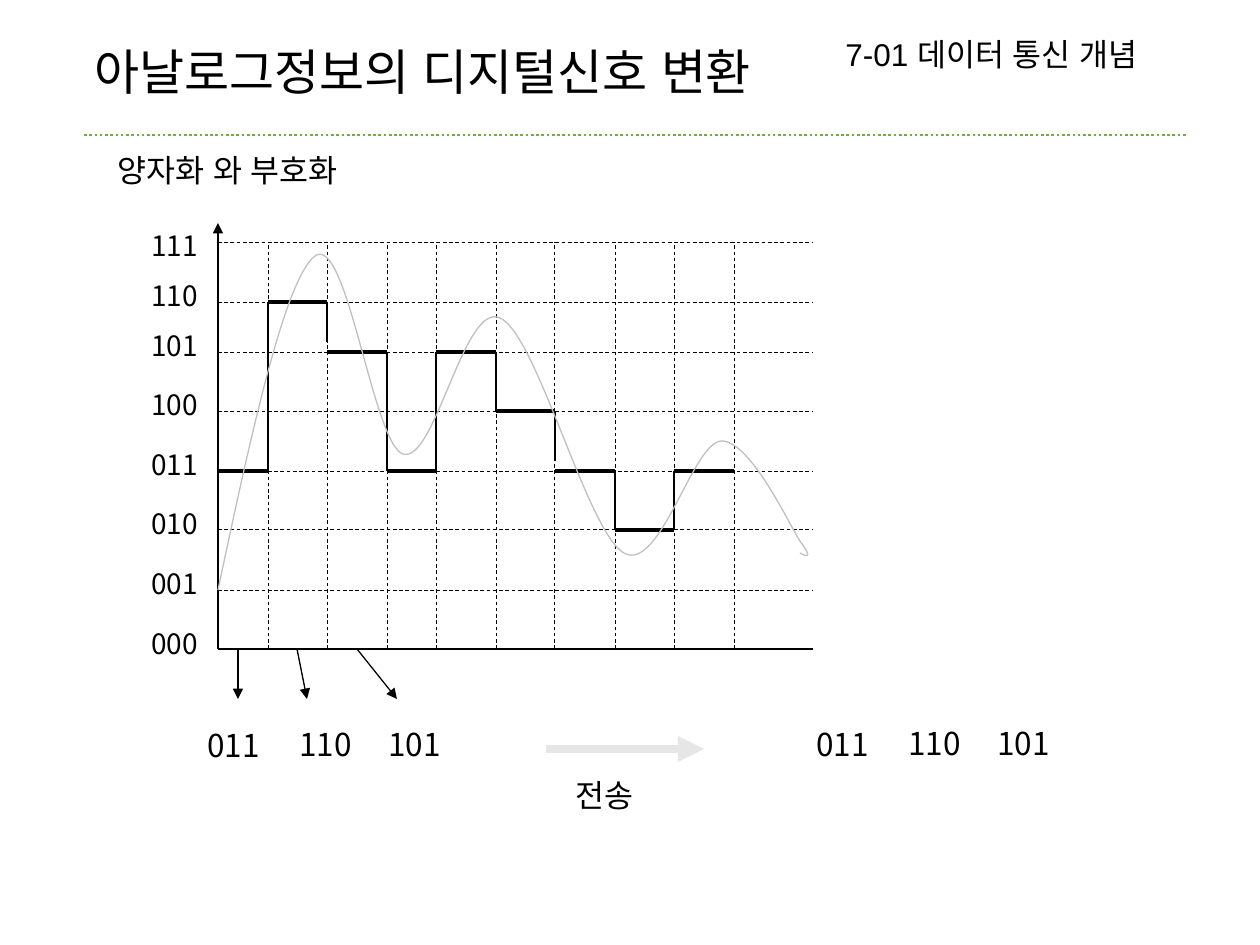
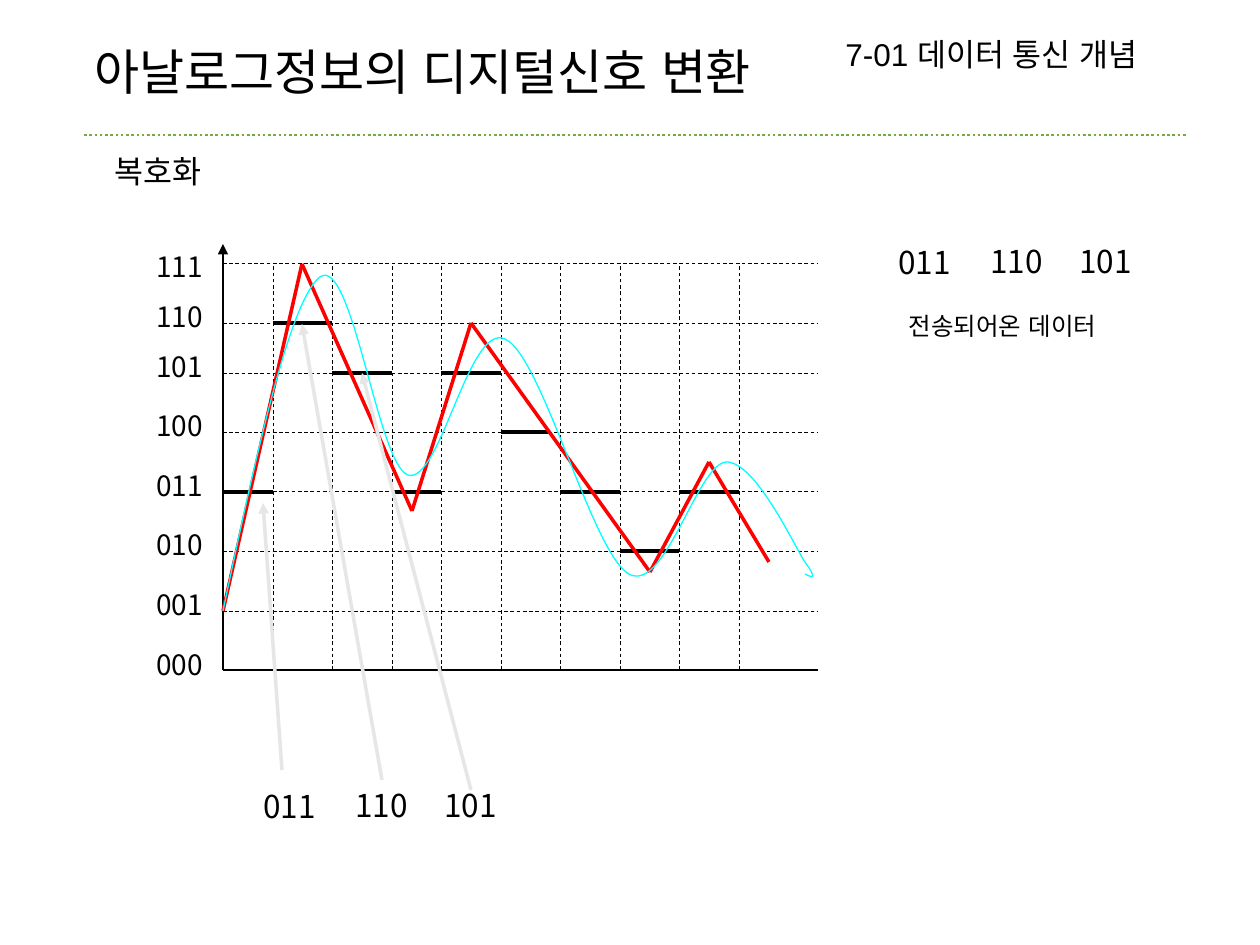
"""Build two slides on turning analog information into a digital signal."""
from itertools import chain, pairwise
from lxml.etree import SubElement
from pptx import Presentation
from pptx.dml.color import RGBColor
from pptx.enum.dml import MSO_LINE_DASH_STYLE as Dash
from pptx.enum.shapes import MSO_CONNECTOR as Connector
from pptx.enum.text import MSO_ANCHOR as Anchor, MSO_AUTO_SIZE as AutoSize, PP_ALIGN as Align
from pptx.oxml.ns import qn
from pptx.util import Emu, Pt

PX = 914400 // 126
COLORS = {
    "ink": "000000", "rule": "70AD47", "pale": "E7E6E6",
    "silver": "C0C0C0", "cyan": "00FFFF", "red": "FF0000",
}
CODE_FONT = "Noto Sans CJK KR"

COLUMNS = [0, 50, 109, 169, 218, 278, 337, 397, 456, 516]
ROWS = [0, 59, 119, 178, 238, 297, 347, 407]
LABEL_LIFTS = [29, 30, 30, 30, 30, 30, 30, 20]
SAMPLES = [3, 6, 5, 3, 5, 4, 3, 2, 3]
PLOT_WIDTH, AXIS_HEIGHT = 595, 426
WAVE_START = (0, 59)
WAVE = [
    ((33, 215), (67, 370), (97, 393)),
    ((129, 416), (155, 205), (185, 195)),
    ((217, 185), (246, 348), (282, 331)),
    ((319, 315), (369, 117), (406, 96)),
    ((442, 76), (474, 205), (503, 208)),
    ((532, 209), (570, 127), (582, 108)),
    ((596, 89), (588, 93), (582, 96)),
]
DECODED = [(0, 59), (79, 406), (189, 159), (248, 347), (427, 98), (486, 208), (546, 108)]
CODES = [("011", 0, 0), ("110", 92, -1), ("101", 181, -1)]

SLIDES = [
    {
        "origin": (218, 649), "wave": "silver", "risers": True, "decoded": [],
        "step_cuts": {}, "riser_cuts": {1: 10, 5: 10},
        "arrows": [(238, 649, 238, 699), (297, 649, 307, 699), (357, 649, 397, 699)],
        "arrow_style": ("ink", 0.75),
        "codes": [(195, 720), (804, 719)],
        "texts": [("전송", 563, 770, 88, 50, 18, CODE_FONT),
                  ("양자화 와 부호화", 105, 145, 262, 50, 18, "Calibri")],
    },
    {
        "origin": (223, 670), "wave": "cyan", "risers": False, "decoded": DECODED,
        "step_cuts": {5: 10}, "riser_cuts": {},
        "arrows": [(282, 770, 263, 503), (382, 780, 302, 324), (471, 790, 362, 373)],
        "arrow_style": ("pale", 2),
        "codes": [(251, 781), (886, 237)],
        "texts": [("전송되어온 데이터", 896, 305, 232, 43, 14, CODE_FONT),
                  ("복호화", 102, 146, 121, 50, 18, "Calibri")],
    },
]


def add_line(s, x1, y1, x2, y2, color="ink", width=0.75, dash=None, arrow=False):
    c = s.shapes.add_connector(Connector.STRAIGHT, x1 * PX, y1 * PX, x2 * PX, y2 * PX)
    c.line.color.rgb = RGBColor.from_string(COLORS[color])
    c.line.width = Pt(width)
    if dash:
        c.line.dash_style = dash
    if arrow:
        SubElement(c.line._get_or_add_ln(), qn("a:tailEnd"), type="triangle")
    SubElement(c._element.spPr, qn("a:effectLst"))


def set_text(sp, text, size, font, wrap=False, align=None):
    tf = sp.text_frame
    tf.word_wrap = wrap
    tf.auto_size = AutoSize.SHAPE_TO_FIT_TEXT
    tf.vertical_anchor = Anchor.TOP
    p = tf.paragraphs[0]
    p.text = text
    p.alignment = align
    p.font.size = Pt(size)
    p.font.name = font
    p.font.color.rgb = RGBColor.from_string(COLORS["ink"])
    SubElement(p.font._rPr, qn("a:ea"), typeface="Arial")
    return p


prs = Presentation()
prs.slide_width, prs.slide_height = Emu(1260 * PX), Emu(945 * PX)

for slide in SLIDES:
    s = prs.slides.add_slide(prs.slide_layouts[5])
    x0, y0 = slide["origin"]

    title = s.shapes.title
    title.left, title.top, title.width, title.height = 82 * PX, 0, 751 * PX, 107 * PX
    p = set_text(title, "아날로그정보의 디지털신호 변환", 28, "Calibri", True, Align.JUSTIFY)
    p.line_spacing = 1.6

    add_line(s, 84, 135, 1186, 135, "rule", 1.5, Dash.ROUND_DOT)
    sp = s.shapes.add_textbox(833 * PX, 29 * PX, 348 * PX, 50 * PX)
    set_text(sp, "7-01 데이터 통신 개념", 18, "Arial", align=Align.JUSTIFY)

    add_line(s, x0, y0, x0 + PLOT_WIDTH, y0)
    add_line(s, x0, y0, x0, y0 - AXIS_HEIGHT, arrow=True)
    for dx in COLUMNS[1:]:
        add_line(s, x0 + dx, y0, x0 + dx, y0 - ROWS[-1], width=0.5, dash=Dash.DASH)
    for dy in ROWS[1:]:
        add_line(s, x0, y0 - dy, x0 + PLOT_WIDTH, y0 - dy, width=0.5, dash=Dash.DASH)
    for level, (dy, lift) in enumerate(zip(ROWS, LABEL_LIFTS)):
        sp = s.shapes.add_textbox((x0 - 79) * PX, (y0 - dy - lift) * PX, 79 * PX, 47 * PX)
        set_text(sp, f"{level:03b}", 16, CODE_FONT, True)

    for i, ((left, right), level) in enumerate(zip(pairwise(COLUMNS), SAMPLES)):
        y = y0 - ROWS[level]
        add_line(s, x0 + left, y, x0 + right - slide["step_cuts"].get(i, 0), y, width=2.75)
    if slide["risers"]:
        for i, (before, after) in enumerate(pairwise(SAMPLES)):
            x = x0 + COLUMNS[i + 1]
            top, bottom = max(before, after), min(before, after)
            add_line(s, x, y0 - ROWS[top], x, y0 - ROWS[bottom] - slide["riser_cuts"].get(i, 0))
        add_line(s, 546, 749, 704, 749, "pale", 5, arrow=True)
    for (xa, ya), (xb, yb) in pairwise(slide["decoded"]):
        add_line(s, x0 + xa, y0 - ya, x0 + xb, y0 - yb, "red", 2)

    builder = s.shapes.build_freeform((x0 + WAVE_START[0]) * PX, (y0 - WAVE_START[1]) * PX)
    points = [((x0 + dx) * PX, (y0 - dy) * PX) for dx, dy in chain(*WAVE)]
    builder.add_line_segments(points, close=False)
    sp = builder.convert_to_shape()
    outline = next(sp._element.iter(qn("a:path")))
    segments = outline.findall(qn("a:lnTo"))
    for i in range(0, len(segments), 3):
        curve = SubElement(outline, qn("a:cubicBezTo"))
        for segment in segments[i:i + 3]:
            curve.append(segment[0])
            outline.remove(segment)
    sp.shadow.inherit = False
    sp.fill.background()
    sp.line.color.rgb = RGBColor.from_string(COLORS[slide["wave"]])
    sp.line.width = Pt(0.75)

    codes = [(code, x + dx, y + dy, 79, 50, 18, CODE_FONT)
             for x, y in slide["codes"] for code, dx, dy in CODES]
    for text, x, y, w, h, size, font in codes + slide["texts"]:
        sp = s.shapes.add_textbox(x * PX, y * PX, w * PX, h * PX)
        set_text(sp, text, size, font)
    for ends in slide["arrows"]:
        add_line(s, *ends, *slide["arrow_style"], arrow=True)

prs.save("out.pptx")
